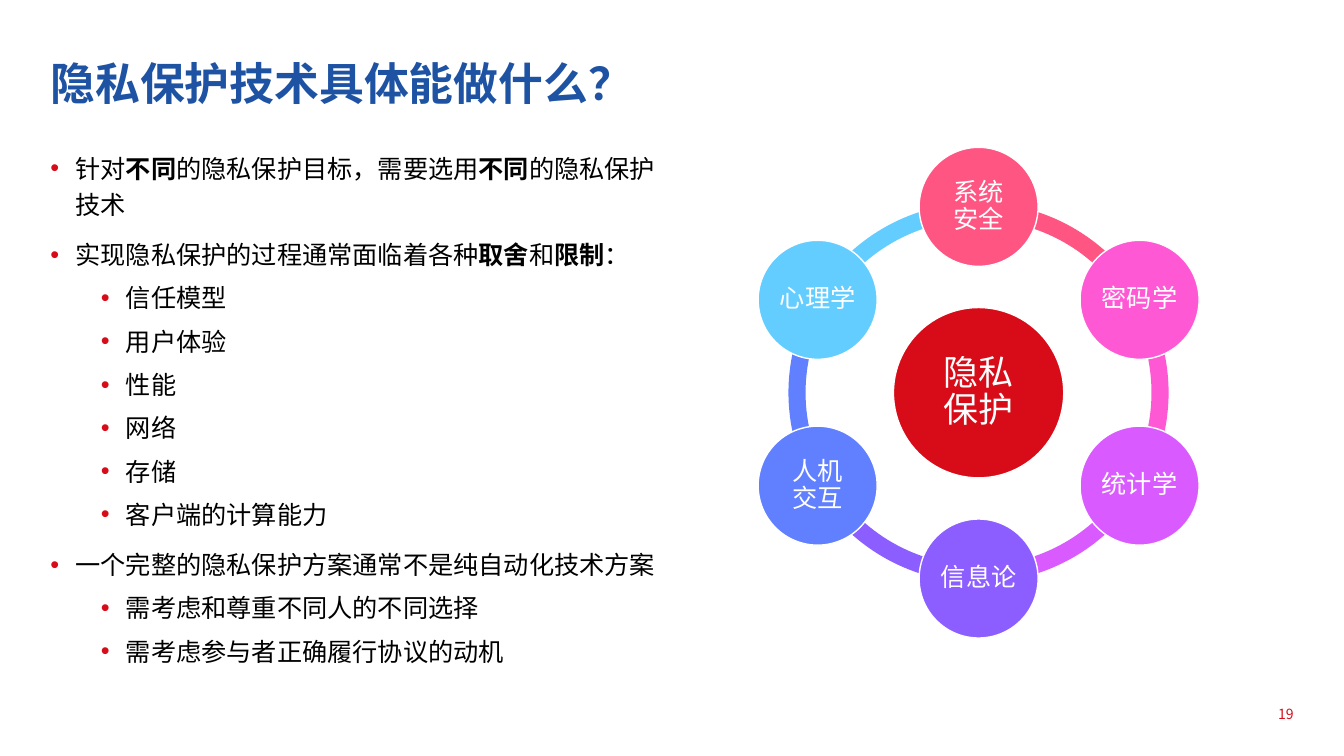
"""Build the slide on what privacy protection techniques can do."""
import math

from lxml import etree
from pptx import Presentation
from pptx import util as u
from pptx.dml import color
from pptx.enum import shapes, text
from pptx.oxml import ns

FONT = "Noto Sans CJK SC"
RED, WHITE = "D80C18", "FFFFFF"


def rgb(value):
    return color.RGBColor.from_string(value)


def add_run(p, words, size, hue, bold=False):
    r = p.add_run()
    r.text = words
    r.font.size, r.font.name, r.font.bold = u.Pt(size), FONT, bold
    r.font.color.rgb = rgb(hue)
    rPr = r.font._element
    etree.SubElement(rPr, ns.qn("a:ea")).set("typeface", FONT)


prs = Presentation()
prs.slide_width, prs.slide_height = u.Pt(960), u.Pt(540)
s = prs.slides.add_slide(prs.slide_layouts[6])

frames = []
for box in [(36, 105, 438.5, 380), (36, 36, 888, 70), (708, 504, 216, 12)]:
    tf = s.shapes.add_textbox(*map(u.Pt, box)).text_frame
    tf.word_wrap = True
    tf.margin_left = tf.margin_top = tf.margin_right = tf.margin_bottom = 0
    frames.append(tf)
body, title, number = frames

title.paragraphs[0].line_spacing = 1.1
add_run(title.paragraphs[0], "隐私保护技术具体能做什么？", 32, "1E53A4", True)

number.vertical_anchor = text.MSO_ANCHOR.BOTTOM
number.paragraphs[0].alignment = text.PP_ALIGN.RIGHT
add_run(number.paragraphs[0], "19", 10, RED)

bullets = [
    (0, "针对*不同*的隐私保护目标，需要选用*不同*的隐私保护技术"),
    (0, "实现隐私保护的过程通常面临着各种*取舍*和*限制*："),
    (1, "信任模型"),
    (1, "用户体验"),
    (1, "性能"),
    (1, "网络"),
    (1, "存储"),
    (1, "客户端的计算能力"),
    (0, "一个完整的隐私保护方案通常不是纯自动化技术方案"),
    (1, "需考虑和尊重不同人的不同选择"),
    (1, "需考虑参与者正确履行协议的动机"),
]
for i, (level, line) in enumerate(bullets):
    p = body.add_paragraph() if i else body.paragraphs[0]
    p.level = level
    p.line_spacing = 1.2
    p.space_before = u.Pt(5 if level else 10)
    pPr = p._p.get_or_add_pPr()
    pPr.set("marL", str(u.Pt(54 if level else 18)))
    pPr.set("indent", str(u.Pt(-18)))
    buClr = etree.SubElement(pPr, ns.qn("a:buClr"))
    etree.SubElement(buClr, ns.qn("a:srgbClr")).set("val", RED)
    etree.SubElement(pPr, ns.qn("a:buFont")).set("typeface", "Arial")
    etree.SubElement(pPr, ns.qn("a:buChar")).set("char", "•")
    for j, part in enumerate(line.split("*")):
        add_run(p, part, 18, "000000", j % 2 == 1)

cx, cy, radius = 699, 280.5, 132.75
ring_size, hub_size, node_size = 271.5, 121.7, 85
fields = [
    ("系统\n安全", "FF5582"),
    ("密码学", "FF58D5"),
    ("统计学", "D95BFF"),
    ("信息论", "8C5EFF"),
    ("人机\n交互", "6180FF"),
    ("心理学", "64CDFF"),
]
step = 360 / len(fields)

circles = [("隐私\n保护", RED, cx, cy, hub_size, 25)]
for i, (label, hue) in enumerate(fields):
    angle = 270 + i * step
    arc = s.shapes.add_shape(
        shapes.MSO_SHAPE.BLOCK_ARC, u.Pt(cx - ring_size / 2),
        u.Pt(cy - ring_size / 2), u.Pt(ring_size), u.Pt(ring_size))
    arc.shadow.inherit = False
    arc.fill.solid()
    arc.fill.fore_color.rgb = rgb(hue)
    arc.line.fill.background()
    arc.adjustments[0] = angle % 360 * 0.6
    arc.adjustments[1] = (angle + step) % 360 * 0.6
    arc.adjustments[2] = 0.045
    x = cx + radius * math.cos(math.radians(angle))
    y = cy + radius * math.sin(math.radians(angle))
    circles.append((label, hue, x, y, node_size, 18))

for label, hue, x, y, size, font_size in circles:
    sp = s.shapes.add_shape(
        shapes.MSO_SHAPE.OVAL, u.Pt(x - size / 2), u.Pt(y - size / 2),
        u.Pt(size), u.Pt(size))
    sp.shadow.inherit = False
    sp.fill.solid()
    sp.fill.fore_color.rgb = rgb(hue)
    sp.line.color.rgb = rgb(WHITE)
    sp.line.width = u.Pt(1)
    tf = sp.text_frame
    tf.word_wrap = True
    tf.vertical_anchor = text.MSO_ANCHOR.MIDDLE
    tf.margin_left = tf.margin_top = tf.margin_right = tf.margin_bottom = u.Pt(2)
    p = tf.paragraphs[0]
    p.alignment = text.PP_ALIGN.CENTER
    p.line_spacing = 0.9
    for j, words in enumerate(label.split("\n")):
        if j:
            p.add_line_break()
        add_run(p, words, font_size, WHITE)

prs.save("out.pptx")
